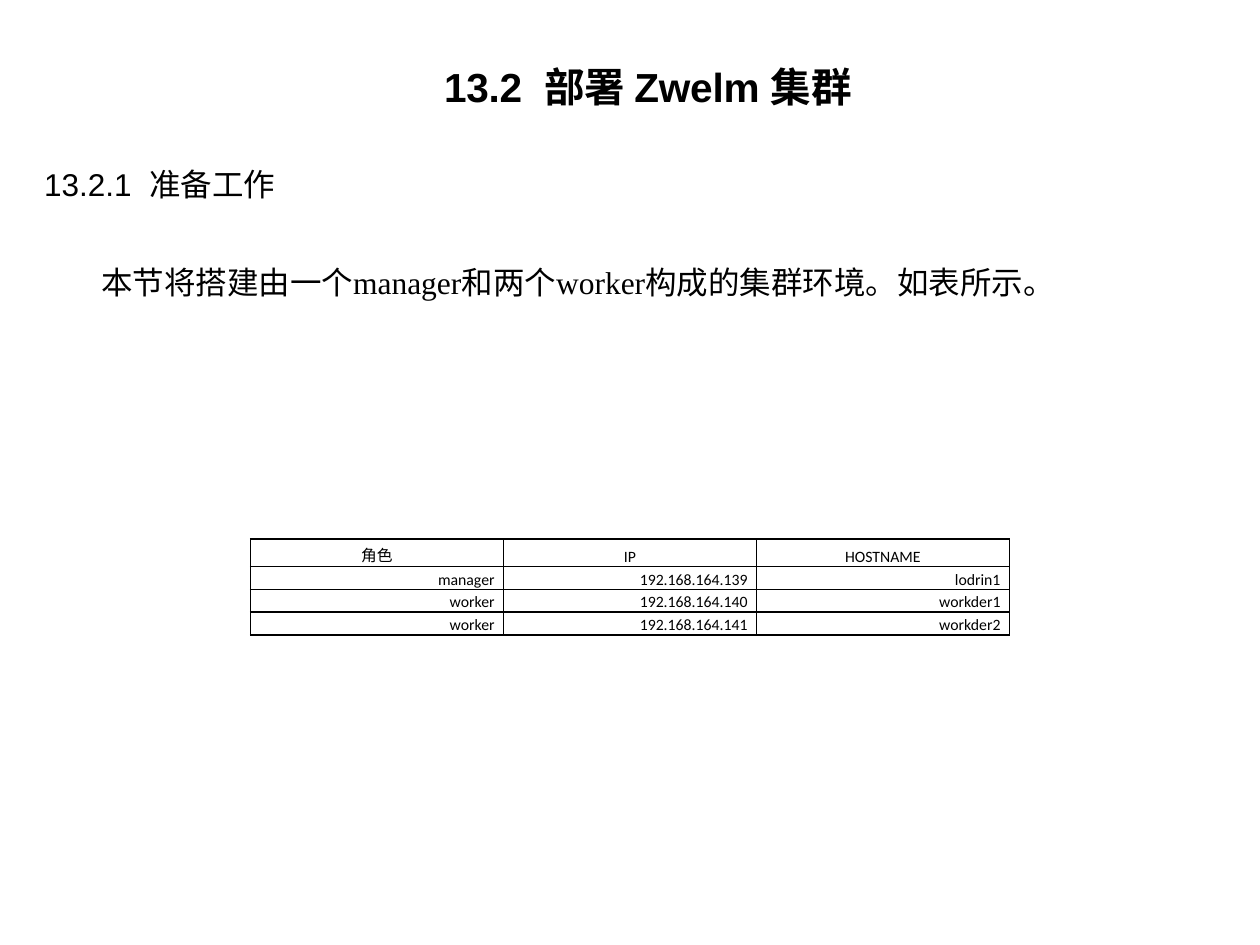
from lxml import etree
from pptx import Presentation
from pptx import util as u
from pptx.dml.color import RGBColor
from pptx.enum import text
from pptx.oxml.ns import qn

BLACK, WHITE = "000000", "FFFFFF"
CENTER, LEFT, RIGHT = text.PP_ALIGN.CENTER, text.PP_ALIGN.LEFT, text.PP_ALIGN.RIGHT

# Boxes are left, top, width, height in cm
TEXTS = [
    {"text": "13.2  部署 Zwelm 集群", "box": (1.63, 1.63, 22.86, 1.8),
     "font": {"name": "Arial", "size": u.Pt(40), "bold": True},
     "para": {"alignment": CENTER, "line_spacing": u.Pt(33),
              "space_before": u.Pt(20), "space_after": u.Pt(20)},
     "frame": {"vertical_anchor": text.MSO_ANCHOR.MIDDLE,
               "margin_left": u.Cm(0.13), "margin_right": u.Cm(0.13)},
     "run_xml": {"baseline": "54000", "spc": "-10"}},
    {"text": "13.2.1  准备工作", "box": (0.64, 3.2, 12.7, 1.02),
     "font": {"name": "Arial", "size": u.Pt(18)},
     "para": {"alignment": LEFT, "space_before": u.Pt(12), "space_after": u.Pt(8)},
     "frame": {"auto_size": text.MSO_AUTO_SIZE.SHAPE_TO_FIT_TEXT}},
    {"text": "本节将搭建由一个manager和两个worker构成的集群环境。如表所示。",
     "box": (1.04, 5.18, 23.44, 1.78),
     "font": {"name": "Times New Roman", "size": u.Pt(18)},
     "para": {"alignment": LEFT, "space_after": u.Pt(6)},
     "frame": {"auto_size": text.MSO_AUTO_SIZE.SHAPE_TO_FIT_TEXT},
     "para_xml": {"indent": str(u.Cm(0.75))}},
]

NODES = [
    ("角色", "IP", "HOSTNAME"),
    ("manager", "192.168.164.139", "lodrin1"),
    ("worker", "192.168.164.140", "workder1"),
    ("worker", "192.168.164.141", "workder2"),
]
TABLE_LEFT, TABLE_TOP, COL_W = 5.05, 10.87, 5.1
HEAD_H, ROW_H = 0.55, 0.46
CELL_FONT = {"name": "Calibri", "size": u.Pt(9), "bold": False}
CELL_FORMAT = {"margin_left": u.Cm(0.18), "margin_right": u.Cm(0.18),
               "margin_top": 0, "margin_bottom": 0}


def rgb(value):
    return RGBColor.from_string(value)


def apply(target, values):
    for name, value in values.items():
        setattr(target, name, value)


def write(p, content, font, para):
    """Put one black run in a paragraph and return the run."""
    apply(p, para)
    r = p.add_run()
    r.text = content
    apply(r.font, font)
    r.font.color.rgb = rgb(BLACK)
    return r


def add_text(slide, item):
    sp = slide.shapes.add_textbox(*map(u.Cm, item["box"]))
    tf = sp.text_frame
    tf.word_wrap = True
    apply(tf, item["frame"])
    p = tf.paragraphs[0]
    r = write(p, item["text"], item["font"], item["para"])
    for name, value in item.get("para_xml", {}).items():
        p._p.get_or_add_pPr().set(name, value)
    for name, value in item.get("run_xml", {}).items():
        r._r.get_or_add_rPr().set(name, value)


def add_borders(cell):
    tc_pr = cell._tc.get_or_add_tcPr()
    for i, side in enumerate(("lnL", "lnR", "lnT", "lnB")):
        ln = etree.Element(qn(f"a:{side}"), w=str(u.Pt(1)))
        fill = etree.SubElement(ln, qn("a:solidFill"))
        etree.SubElement(fill, qn("a:srgbClr"), val=BLACK)
        tc_pr.insert(i, ln)


def add_node_table(slide):
    n_rows, n_cols = len(NODES), len(NODES[0])
    height = HEAD_H + ROW_H * (n_rows - 1)
    table = slide.shapes.add_table(
        n_rows, n_cols, u.Cm(TABLE_LEFT), u.Cm(TABLE_TOP),
        u.Cm(COL_W * n_cols), u.Cm(height)).table
    for col in table.columns:
        col.width = u.Cm(COL_W)
    for i, values in enumerate(NODES):
        table.rows[i].height = u.Cm(ROW_H if i else HEAD_H)
        para = {"alignment": RIGHT if i else CENTER,
                "line_spacing": u.Pt(13 if i else 15.6)}
        for j, value in enumerate(values):
            cell = table.cell(i, j)
            apply(cell, CELL_FORMAT)
            cell.fill.solid()
            cell.fill.fore_color.rgb = rgb(WHITE)
            add_borders(cell)
            write(cell.text_frame.paragraphs[0], value, CELL_FONT, para)


def main():
    prs = Presentation()
    prs.slide_width, prs.slide_height = u.Cm(25.4), u.Cm(19.05)
    slide = prs.slides.add_slide(prs.slide_layouts[6])
    for item in TEXTS:
        add_text(slide, item)
    add_node_table(slide)
    prs.save("out.pptx")


if __name__ == "__main__":
    main()
